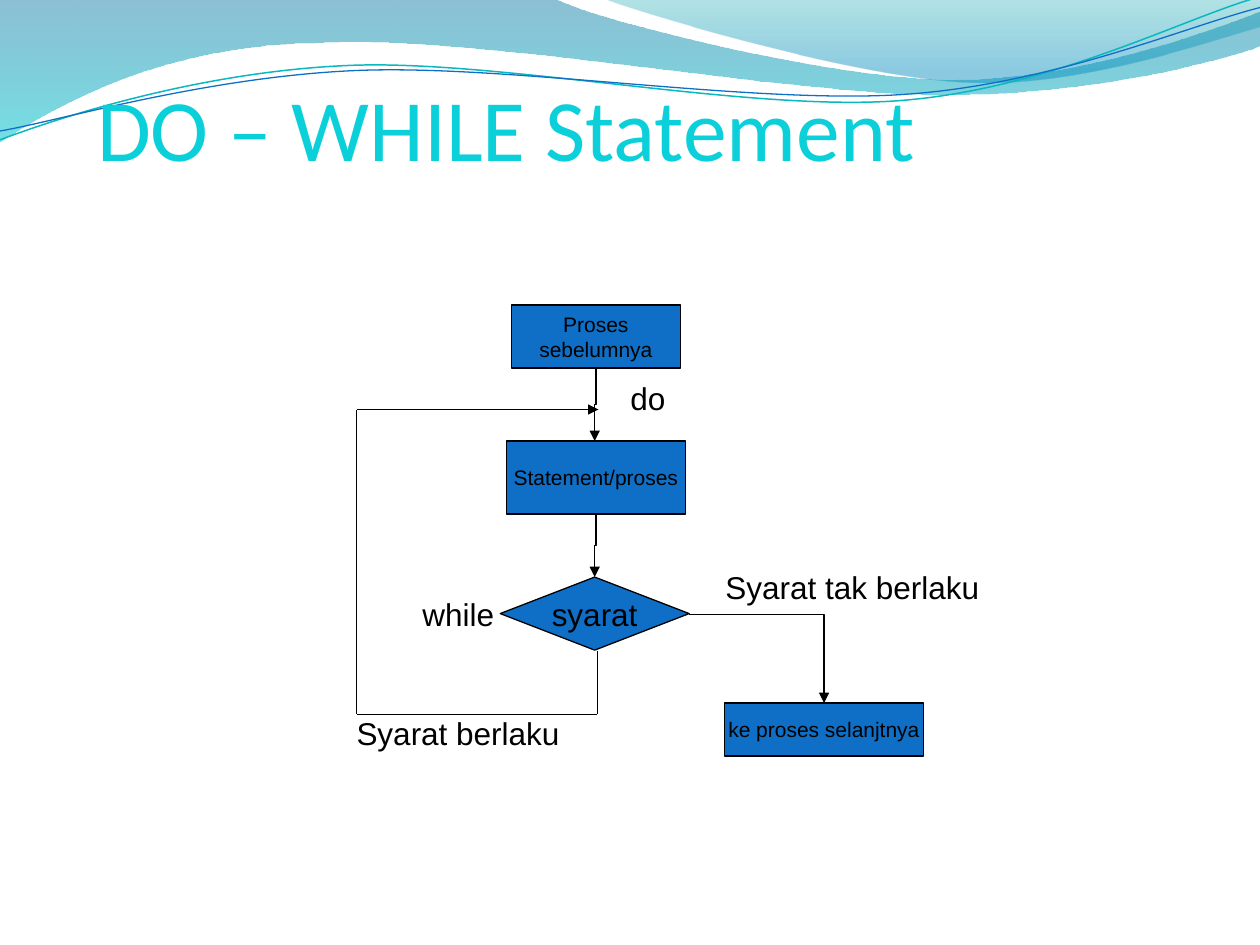
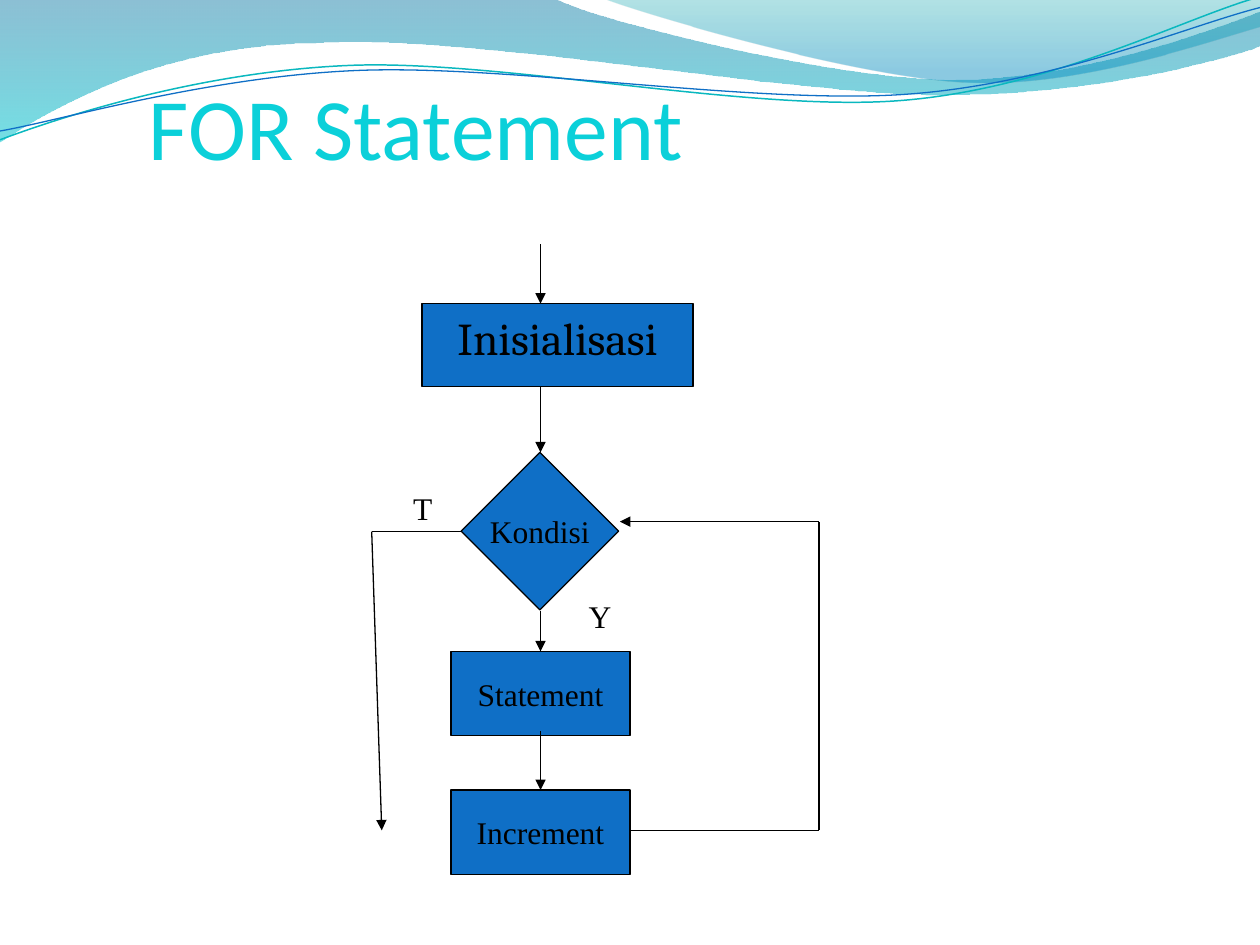
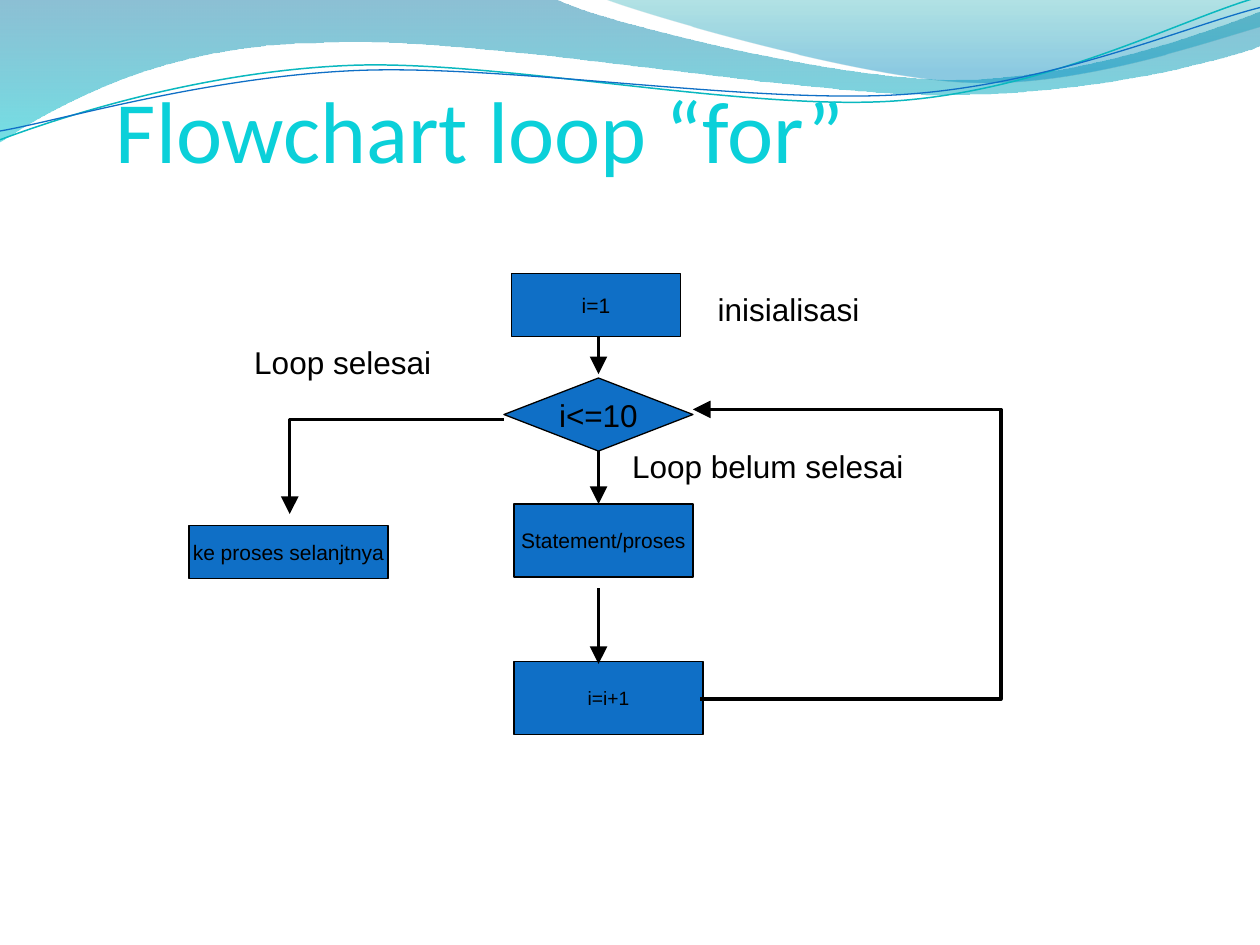
from itertools import chain, pairwise

from lxml.etree import SubElement
from pptx import Presentation
from pptx.dml.color import RGBColor
from pptx.enum.shapes import MSO_CONNECTOR, MSO_SHAPE
from pptx.enum.text import MSO_ANCHOR, MSO_AUTO_SIZE, PP_ALIGN
from pptx.oxml.ns import qn
from pptx.util import Inches, Pt

BLUE = RGBColor(0x0F, 0x6F, 0xC6)
CYAN = RGBColor(0x0B, 0xD0, 0xD9)
TEAL = RGBColor(0x0A, 0xB8, 0xBF)
BLACK = RGBColor(0, 0, 0)
DEEP_BLUE = RGBColor(0x00, 0x74, 0xA1)
AQUA = RGBColor(0x00, 0xC6, 0xCF)
SEA_GREEN = RGBColor(0x00, 0xA1, 0xA9)
SKY_BLUE = RGBColor(0x00, 0x8B, 0xBF)

SANS, SERIF, TITLE_FONT, BODY_FONT = "Arial", "Times New Roman", "Calibri", "Cambria"
PROCESS = MSO_SHAPE.FLOWCHART_PROCESS
DECISION = MSO_SHAPE.FLOWCHART_DECISION
RECT, DIAMOND = MSO_SHAPE.RECTANGLE, MSO_SHAPE.DIAMOND

BANDS = [
    ([[(0, -0.01)], [(4.4, -0.01)],
      [(4.76, 0.17), (6.64, 0.63), (7.58, 0.63)],
      [(8.53, 0.63), (9.58, 0.26), (10, 0.09)], [(10.01, 0.36)],
      [(9.83, 0.44), (8.7, 0.76), (7.46, 0.75)],
      [(6.22, 0.75), (3.82, 0.28), (2.57, 0.34)],
      [(1.29, 0.35), (0.46, 0.83), (-0.01, 1.13)]],
     [(0, DEEP_BLUE, 45), (1, AQUA, 55)]),
    ([[(4.79, -0.01)],
      [(5.09, 0.11), (6.82, 0.62), (7.69, 0.65)],
      [(8.56, 0.69), (9.61, 0.32), (10, 0.21)], [(10, 0)]],
     [(0, SEA_GREEN, 30), (0.8, SKY_BLUE, 45)]),
]
WAVES = [
    ([[(0, 1.11)],
      [(0.48, 0.93), (1.58, 0.57), (2.77, 0.52)],
      [(3.95, 0.47), (5.93, 0.89), (7.13, 0.8)],
      [(8.33, 0.71), (9.38, 0.15), (9.98, -0.02)]], TEAL, 0.85),
    ([[(0, 1.04)],
      [(0.47, 0.96), (1.64, 0.61), (2.83, 0.56)],
      [(4.03, 0.51), (5.97, 0.83), (7.17, 0.75)],
      [(8.36, 0.67), (9.41, 0.21), (10, 0.06)]], BLUE, 0.75),
]

SLIDES = [
    {
        "title": ("DO – WHILE Statement", (0.77, 0.59, 6.58, 0.83)),
        "font": SANS,
        "line_width": 0.75,
        "nodes": [
            ("Proses\nsebelumnya", PROCESS, (4.06, 2.42, 1.34, 0.5), 12),
            ("syarat", DECISION, (3.97, 4.58, 1.5, 0.58), 18),
            ("Statement/proses", PROCESS, (4.02, 3.5, 1.42, 0.58), 12),
            ("ke proses selanjtnya", PROCESS, (5.75, 5.58, 1.58, 0.42), 12),
        ],
        "drops": [
            ((4.73, 2.92), (4.72, 3.5)),
            ((4.73, 4.08), (4.72, 4.58)),
        ],
        "paths": [
            [(4.74, 5.17), (4.74, 5.67), (2.83, 5.67), (2.83, 3.25), (4.75, 3.25)],
        ],
        "elbows": [((5.47, 4.88), (6.54, 5.58), None)],
        "labels": [
            ("do", (4.9, 2.96, 0.48, 0.4)),
            ("while", (3.25, 4.67, 0.77, 0.4)),
            ("Syarat berlaku", (2.73, 5.62, 1.81, 0.4)),
            ("Syarat tak berlaku", (5.65, 4.46, 2.22, 0.4)),
        ],
    },
    {
        "title": ("FOR Statement", (1.18, 0.41, 4.33, 1)),
        "font": SERIF,
        "line_width": 0.75,
        "nodes": [
            ("Kondisi", DIAMOND, (3.66, 3.59, 1.25, 1.25), 18),
            ("Statement", RECT, (3.58, 5.17, 1.42, 0.67), 18),
            ("Inisialisasi", RECT, (3.35, 2.41, 2.15, 0.66), 26),
            ("Increment", RECT, (3.58, 6.27, 1.42, 0.67), 18),
        ],
        "drops": [],
        "paths": [
            [(4.29, 1.94), (4.29, 2.41)],
            [(4.29, 3.07), (4.29, 3.59)],
            [(4.29, 4.85), (4.29, 5.17)],
            [(4.29, 5.8), (4.29, 6.27)],
            [(3.66, 4.22), (2.95, 4.22), (3.03, 6.59)],
            [(5, 6.59), (6.5, 6.59), (6.5, 4.14), (4.92, 4.14)],
        ],
        "elbows": [],
        "labels": [
            ("Y", (4.53, 4.69, 0.42, 0.4)),
            ("T", (3.11, 3.83, 0.42, 0.4)),
        ],
    },
    {
        "title": ("Flowchart loop “for”", (0.92, 0.52, 6.75, 0.92)),
        "font": SANS,
        "line_width": 2,
        "nodes": [
            ("i=1", PROCESS, (4.06, 2.17, 1.34, 0.5), 12),
            ("i<=10", DECISION, (4, 3, 1.5, 0.58), 18),
            ("Statement/proses", PROCESS, (4.08, 4, 1.42, 0.58), 12),
            ("i=i+1", PROCESS, (4.08, 5.25, 1.5, 0.58), 11),
            ("ke proses selanjtnya", PROCESS, (1.5, 4.17, 1.58, 0.42), 12),
        ],
        "drops": [],
        "paths": [
            [(4.75, 3.58), (4.75, 4)],
            [(4.75, 2.67), (4.75, 2.97)],
            [(4.75, 4.67), (4.75, 5.27)],
        ],
        "elbows": [
            ((5.56, 5.55), (5.5, 3.25), 7.95),
            ((4, 3.33), (2.3, 4.08), 2.3),
        ],
        "labels": [
            ("Loop belum selesai", (4.9, 3.5, 2.37, 0.4)),
            ("Loop selesai", (1.9, 2.67, 1.62, 0.4)),
            ("inisialisasi", (5.59, 2.25, 1.33, 0.4)),
        ],
    },
]


def inches(values):
    return [Inches(value) for value in values]


def add_outline(page, segments, close):
    start, *rest = [inches(point) for point in chain.from_iterable(segments)]
    builder = page.shapes.build_freeform(*start)
    builder.add_line_segments(rest, close=close)
    shape = builder.convert_to_shape()
    shape.shadow.inherit = False
    steps = iter(list(shape.element.iter(qn("a:lnTo"))))
    for segment in segments[1:]:
        first, *others = [next(steps) for _ in segment]
        if others:
            first.tag = qn("a:cubicBezTo")
        for step in others:
            first.append(step[0])
            step.getparent().remove(step)
    return shape


def add_master_waves(deck, page):
    outlines = []
    for segments, stops in BANDS:
        band = add_outline(page, segments, True)
        band.line.fill.background()
        band.fill.gradient()
        band.fill.gradient_angle = 270
        for stop, (position, color, _) in zip(band.fill.gradient_stops, stops):
            stop.position = position
            stop.color.rgb = color
        for tint, (_, _, opacity) in zip(band.element.spPr.iter(qn("a:srgbClr")), stops):
            SubElement(tint, qn("a:alpha"), val=str(opacity * 1000))
        outlines.append(band)
    for segments, color, width in WAVES:
        wave = add_outline(page, segments, False)
        wave.fill.background()
        wave.line.color.rgb = color
        wave.line.width = Pt(width)
        outlines.append(wave)
    for outline in outlines:
        deck.slide_master.shapes.element.append(outline.element)


def write(frame, text, font, size, color, align):
    frame.text = text
    for para in frame.paragraphs:
        para.alignment = align
        for span in para.runs:
            span.font.name = font
            span.font.size = Pt(size)
            span.font.color.rgb = color


def set_title(page, text, bounds):
    title = page.shapes.title
    title.left, title.top, title.width, title.height = inches(bounds)
    frame = title.text_frame
    write(frame, text, TITLE_FONT, 50, CYAN, PP_ALIGN.LEFT)
    frame.auto_size = MSO_AUTO_SIZE.NONE
    frame.vertical_anchor = MSO_ANCHOR.BOTTOM
    frame.margin_left = frame.margin_right = frame.margin_bottom = 0
    frame.margin_top = Inches(0.05)


def add_node(page, text, kind, bounds, size, font):
    node = page.shapes.add_shape(kind, *inches(bounds))
    node.shadow.inherit = False
    node.fill.solid()
    node.fill.fore_color.rgb = BLUE
    node.line.color.rgb = BLACK
    node.line.width = Pt(0.75)
    heading = size > 18
    write(node.text_frame, text, BODY_FONT if heading else font, size, BLACK, PP_ALIGN.CENTER)
    node.text_frame.word_wrap = heading
    node.text_frame.vertical_anchor = MSO_ANCHOR.TOP if heading else MSO_ANCHOR.MIDDLE


def add_label(page, text, bounds, font):
    box = page.shapes.add_textbox(*inches(bounds))
    write(box.text_frame, text, font, 18, BLACK, PP_ALIGN.RIGHT)
    box.text_frame.word_wrap = font == SERIF
    box.text_frame.auto_size = MSO_AUTO_SIZE.SHAPE_TO_FIT_TEXT


def add_line(page, kind, start, end, width, arrow):
    line = page.shapes.add_connector(kind, *inches(start + end))
    line.line.color.rgb = BLACK
    line.line.width = Pt(width)
    properties = line.element.spPr
    if arrow:
        size = "lg" if width > 1 else "med"
        SubElement(properties.find(qn("a:ln")), qn("a:tailEnd"),
                   type="triangle", w=size, len=size)
    SubElement(properties, qn("a:effectLst"))
    return line


def add_path(page, points, width):
    for start, end in pairwise(points):
        add_line(page, MSO_CONNECTOR.STRAIGHT, start, end, width, end == points[-1])


def add_drop(page, start, end, width):
    center_x, center_y = (start[0] + end[0]) / 2, (start[1] + end[1]) / 2
    half_run, half_shift = (end[1] - start[1]) / 2, (start[0] - end[0]) / 2
    drop = add_line(page, MSO_CONNECTOR.ELBOW,
                    (center_x - half_run, center_y - half_shift),
                    (center_x + half_run, center_y + half_shift), width, True)
    drop.element.spPr.find(qn("a:xfrm")).set("rot", str(90 * 60000))


def add_elbow(page, start, end, bend_x, width):
    elbow = add_line(page, MSO_CONNECTOR.ELBOW, start, end, width, True)
    geometry = elbow.element.spPr.find(qn("a:prstGeom"))
    if bend_x is None:
        geometry.set("prst", "bentConnector2")
        return
    ratio = (bend_x - start[0]) / (end[0] - start[0])
    SubElement(geometry.find(qn("a:avLst")), qn("a:gd"),
               name="adj1", fmla=f"val {round(ratio * 100000)}")


def main():
    deck = Presentation()
    deck.slide_width, deck.slide_height = Inches(10), Inches(7.5)
    for content in SLIDES:
        page = deck.slides.add_slide(deck.slide_layouts.get_by_name("Title Only"))
        font, width = content["font"], content["line_width"]
        set_title(page, *content["title"])
        for node in content["nodes"]:
            add_node(page, *node, font)
        for drop in content["drops"]:
            add_drop(page, *drop, width)
        for points in content["paths"]:
            add_path(page, points, width)
        for elbow in content["elbows"]:
            add_elbow(page, *elbow, width)
        for label in content["labels"]:
            add_label(page, *label, font)
    add_master_waves(deck, deck.slides[0])
    deck.save("out.pptx")


if __name__ == "__main__":
    main()
